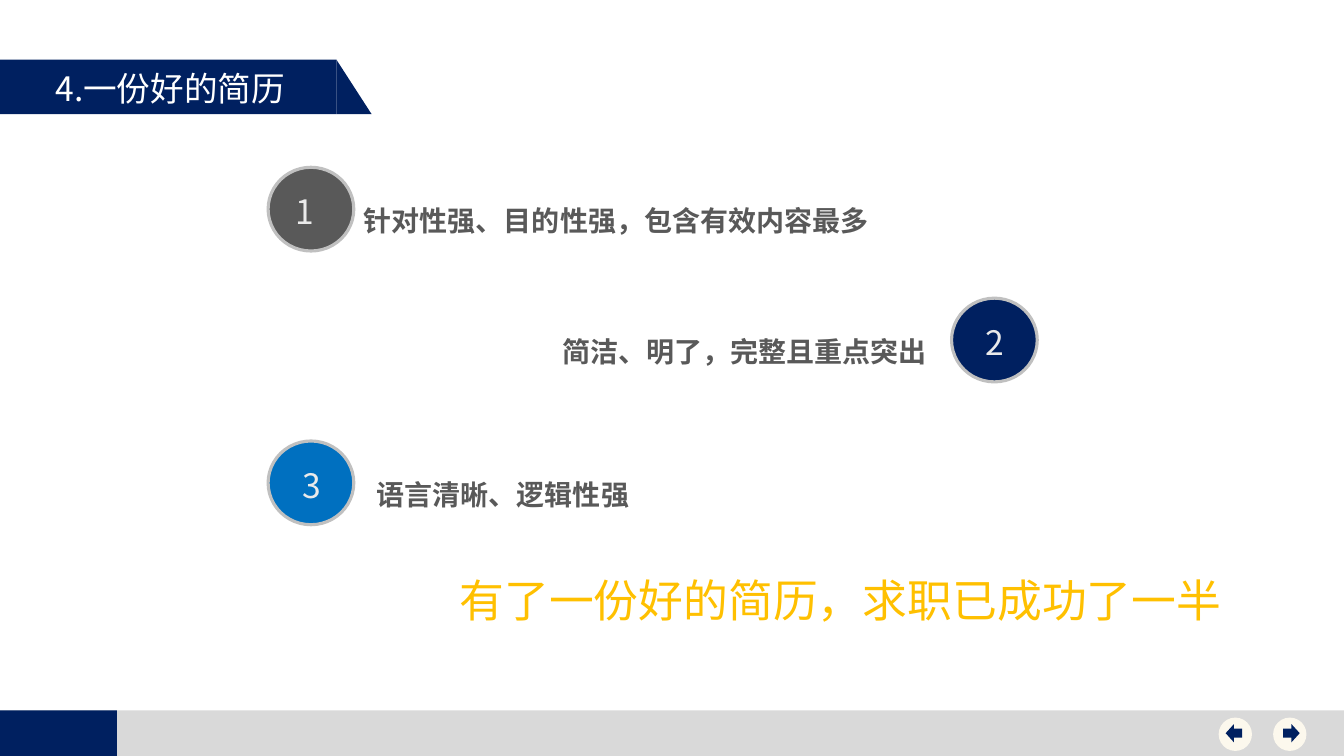
import pptx
import pptx.util
import pptx.dml.color
import pptx.enum.shapes
import pptx.enum.text
import pptx.oxml
import pptx.oxml.ns

Pt = pptx.util.Pt
SHAPE = pptx.enum.shapes.MSO_SHAPE
ALIGN = pptx.enum.text.PP_ALIGN
NAVY, GREY, BLUE = "002060", "595959", "0070C0"
SANS = "Noto Sans CJK SC"


def paint(target, colour):
    """Give a fill a solid colour."""
    target.solid()
    target.fore_color.rgb = pptx.dml.color.RGBColor.from_string(colour)


def add_block(page, kind, left, top, width, height, colour, border=None):
    block = page.shapes.add_shape(kind, Pt(left), Pt(top), Pt(width), Pt(height))
    block.shadow.inherit = False
    paint(block.fill, colour)
    if border:
        paint(block.line.fill, border)
        block.line.width = Pt(2.25)
    else:
        block.line.fill.background()
    return block


def write(box, text, size, colour, align=ALIGN.LEFT, bold=False, font=SANS,
          spacing=1.0, wrap=True):
    frame = box.text_frame
    frame.word_wrap = wrap
    frame.auto_size = pptx.enum.text.MSO_AUTO_SIZE.NONE
    frame.vertical_anchor = pptx.enum.text.MSO_ANCHOR.TOP
    para = frame.paragraphs[0]
    para.alignment = align
    para.line_spacing = spacing
    span = para.add_run()
    span.text = text
    span.font.size = Pt(size)
    span.font.bold = bold
    span.font.name = font
    paint(span.font.fill, colour)
    # East Asian glyphs take their own typeface element
    asian = pptx.oxml.parse_xml(
        f'<a:ea {pptx.oxml.ns.nsdecls("a")} typeface="{font}"/>')
    span.font._element.find(pptx.oxml.ns.qn("a:latin")).addnext(asian)


def add_text(page, left, top, width, height, text, size, colour, **style):
    box = page.shapes.add_textbox(Pt(left), Pt(top), Pt(width), Pt(height))
    write(box, text, size, colour, **style)


def add_title(page, text):
    """Draw the banner and lay the title placeholder over it."""
    add_block(page, SHAPE.RECTANGLE, 0, 42.7, 240.5, 38.9, NAVY)
    add_block(page, SHAPE.RIGHT_TRIANGLE, 240.5, 42.9, 25, 38.7, NAVY)
    title = page.shapes.title
    title.left, title.top = Pt(32.4), Pt(45.2)
    title.width, title.height = Pt(229), Pt(36.3)
    write(title, text, 24, "FFFFFF")
    title._element.getparent().append(title._element)


def add_point(page, number, left, top, colour, number_left, text,
              text_left, text_width, align):
    """Draw a numbered disc with its statement beside it."""
    add_block(page, SHAPE.OVAL, left, top, 61.2, 59.8, colour, "C0C0C0")
    add_text(page, number_left, top + 13.4, 24, 33.8, number, 24, "EAEAEA",
             align=ALIGN.CENTER, wrap=False)
    add_text(page, text_left, top + 13, text_width, 41, text, 20, GREY,
             align=align, bold=True, spacing=1.4)


def add_button(page, left, arrow, arrow_left):
    add_block(page, SHAPE.OVAL, left, 512.6, 23.8, 23.8, "FCF8ED")
    add_block(page, arrow, arrow_left, 517.2, 11.8, 13, NAVY)


def main():
    deck = pptx.Presentation()
    deck.slide_width, deck.slide_height = Pt(960), Pt(540)
    page = deck.slides.add_slide(deck.slide_layouts.get_by_name("Title Only"))

    # Footer bar and navigation buttons
    add_block(page, SHAPE.RECTANGLE, 0, 507.4, 960, 32.6, "D9D9D9")
    add_block(page, SHAPE.RECTANGLE, 0, 507.4, 83.5, 32.6, NAVY)
    add_button(page, 870.5, SHAPE.LEFT_ARROW, 875.5)
    add_button(page, 909.4, SHAPE.RIGHT_ARROW, 916.6)

    # Title banner
    add_title(page, "4.一份好的简历")

    # Numbered statements
    points = [
        ("1", 191.5, 119.5, GREY, 205.8, "针对性强、目的性强，包含有效内容最多",
         252.7, 383, ALIGN.LEFT),
        ("2", 679.7, 213, NAVY, 698.4, "简洁、明了，完整且重点突出",
         387.4, 282, ALIGN.RIGHT),
        ("3", 191.5, 315, BLUE, 210.5, "语言清晰、逻辑性强",
         262, 258, ALIGN.LEFT),
    ]
    for point in points:
        add_point(page, *point)

    # Closing line
    add_text(page, 317.5, 405.4, 566, 46, "有了一份好的简历，求职已成功了一半",
             32, "FFC000", align=ALIGN.CENTER, font="Noto Sans CJK JP", wrap=False)

    deck.save("out.pptx")


if __name__ == "__main__":
    main()
